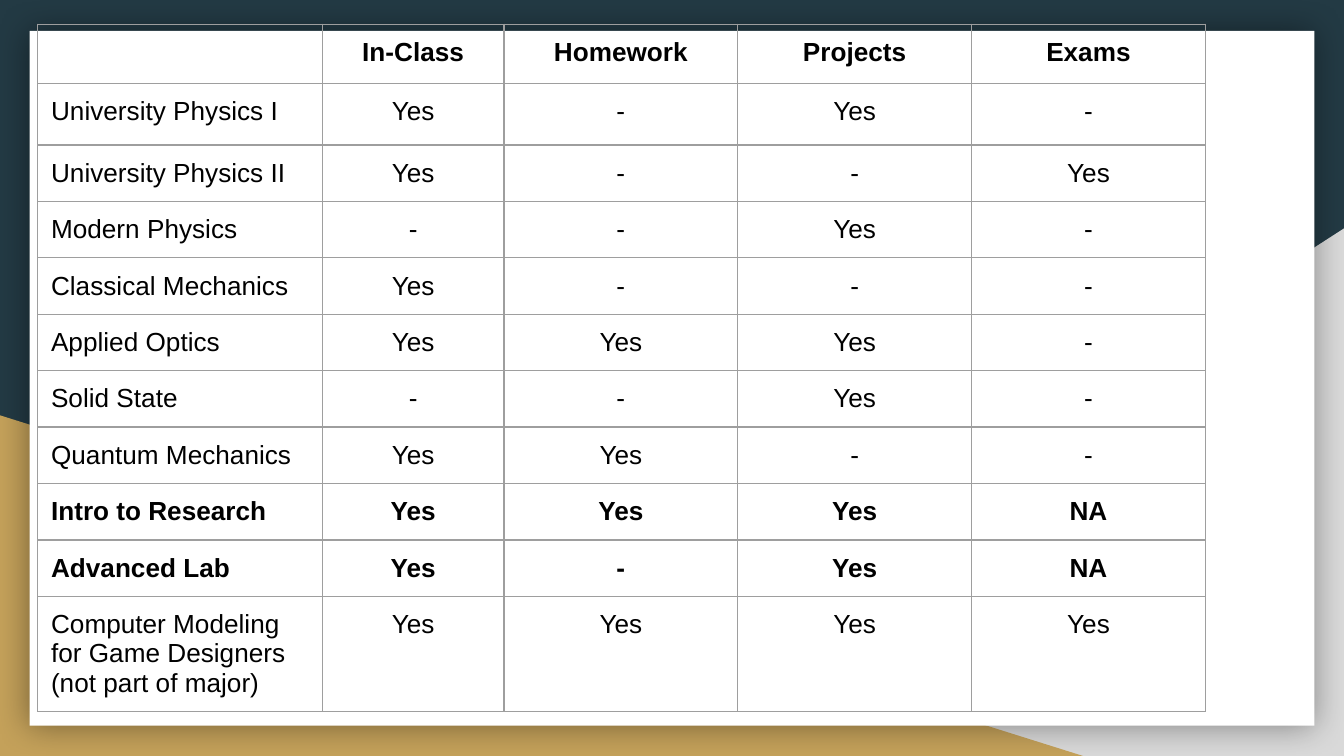
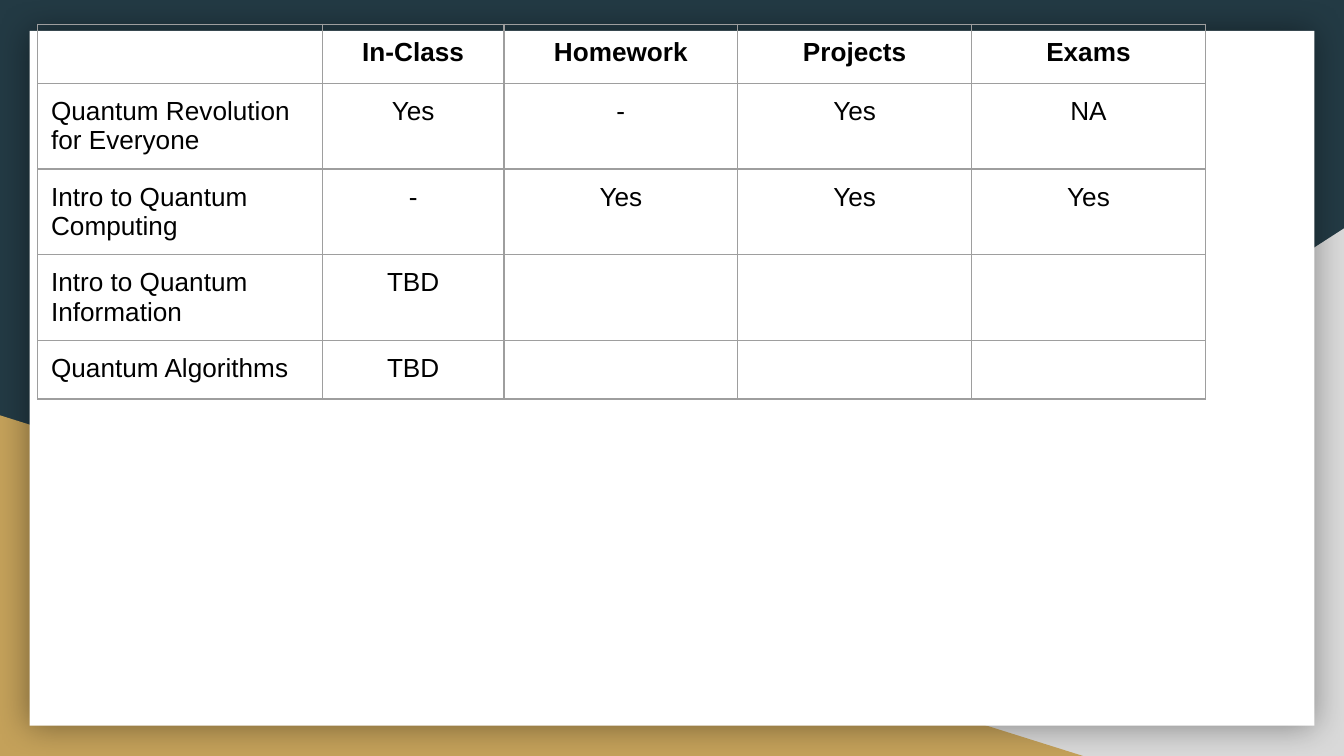
from lxml.etree import SubElement
from pptx import Presentation
from pptx.dml.color import RGBColor
from pptx.enum.shapes import MSO_SHAPE
from pptx.enum.text import PP_ALIGN
from pptx.oxml.ns import qn
from pptx.util import Inches, Pt

NAVY = RGBColor(0x23, 0x3A, 0x44)
SILVER = RGBColor(0xD9, 0xD9, 0xD9)
GOLD = RGBColor(0xC4, 0xA1, 0x5A)
WHITE = RGBColor(0xFF, 0xFF, 0xFF)
BLACK = RGBColor(0x00, 0x00, 0x00)
GRID_GREY = RGBColor(0x9E, 0x9E, 0x9E)

FONT = "Arial"
TEXT_SIZE = Pt(14)
CELL_INSET = Inches(0.1)
SLIDE_WIDTH, SLIDE_HEIGHT = 10, 5.625
TABLE_LEFT, TABLE_TOP = 0.28, 0.18
COLUMN_WIDTHS = [2.12, 1.35, 1.74, 1.74, 1.74]
HEADER_HEIGHT, FIRST_COURSE_HEIGHT, COURSE_HEIGHT = 0.44, 0.46, 0.42

HEADINGS = ["", "In-Class", "Homework", "Projects", "Exams"]
MAJOR_COURSES = [
    ["University Physics I", "Yes", "-", "Yes", "-"],
    ["University Physics II", "Yes", "-", "-", "Yes"],
    ["Modern Physics", "-", "-", "Yes", "-"],
    ["Classical Mechanics", "Yes", "-", "-", "-"],
    ["Applied Optics", "Yes", "Yes", "Yes", "-"],
    ["Solid State", "-", "-", "Yes", "-"],
    ["Quantum Mechanics", "Yes", "Yes", "-", "-"],
    ["Intro to Research", "Yes", "Yes", "Yes", "NA"],
    ["Advanced Lab", "Yes", "-", "Yes", "NA"],
    ["Computer Modeling for Game Designers (not part of major)",
     "Yes", "Yes", "Yes", "Yes"],
]
QUANTUM_COURSES = [
    ["Quantum Revolution for Everyone", "Yes", "-", "Yes", "NA"],
    ["Intro to Quantum Computing", "-", "Yes", "Yes", "Yes"],
    ["Intro to Quantum Information", "TBD", "", "", ""],
    ["Quantum Algorithms", "TBD", "", "", ""],
]
EMPHASIZED = {"Intro to Research", "Advanced Lab"}


def add_panel(slide, layout, preset, color, left, top, width, height):
    """Add a plain filled shape and move it to the layout that slides share."""
    panel = slide.shapes.add_shape(
        preset, Inches(left), Inches(top), Inches(width), Inches(height))
    panel.shadow.inherit = False
    panel.fill.solid()
    panel.fill.fore_color.rgb = color
    panel.line.fill.background()
    layout.shapes.element.append(panel.element)
    return panel


def add_glow_shadow(panel):
    """Spread a soft shadow evenly around the panel."""
    effects = panel.element.spPr.find(qn("a:effectLst"))
    shadow = SubElement(effects, qn("a:outerShdw"), blurRad=str(Pt(18)),
                        dist="0", dir="0", algn="ctr", rotWithShape="0")
    tint = SubElement(shadow, qn("a:srgbClr"), val=str(BLACK))
    SubElement(tint, qn("a:alpha"), val="40000")


def build_backdrop(slide, layout):
    for placeholder in list(layout.placeholders):
        layout.shapes.element.remove(placeholder.element)
    background = layout.slide_master.background.fill
    background.solid()
    background.fore_color.rgb = NAVY

    right_corner = add_panel(slide, layout, MSO_SHAPE.RIGHT_TRIANGLE, SILVER,
                             3.92, 1.7, SLIDE_WIDTH - 3.92, SLIDE_HEIGHT - 1.7)
    right_corner.element.spPr.xfrm.set("flipH", "1")
    add_panel(slide, layout, MSO_SHAPE.RIGHT_TRIANGLE, GOLD,
              0, 3.09, 8.06, SLIDE_HEIGHT - 3.09)
    sheet = add_panel(slide, layout, MSO_SHAPE.RECTANGLE, WHITE,
                      0.22, 0.23, 9.56, 5.17)
    add_glow_shadow(sheet)


def add_borders(cell):
    properties = cell._tc.get_or_add_tcPr()
    for side in ("a:lnL", "a:lnR", "a:lnT", "a:lnB"):
        border = SubElement(properties, qn(side), w=str(Pt(0.75)))
        paint = SubElement(border, qn("a:solidFill"))
        SubElement(paint, qn("a:srgbClr"), val=str(GRID_GREY))


def format_cell(cell, text, bold, centered):
    add_borders(cell)
    cell.fill.background()
    cell.margin_left = cell.margin_right = CELL_INSET
    cell.margin_top = cell.margin_bottom = CELL_INSET
    cell.text_frame.text = text
    paragraph = cell.text_frame.paragraphs[0]
    paragraph.alignment = PP_ALIGN.CENTER if centered else PP_ALIGN.LEFT
    for run in paragraph.runs:
        run.font.name = FONT
        run.font.size = TEXT_SIZE
        run.font.bold = bold
        run.font.color.rgb = BLACK
    if not text:
        SubElement(paragraph._p, qn("a:endParaRPr"),
                   sz=str(int(TEXT_SIZE.pt * 100)))


def add_course_table(slide, courses):
    rows = [HEADINGS] + courses
    heights = [HEADER_HEIGHT, FIRST_COURSE_HEIGHT]
    heights += [COURSE_HEIGHT] * (len(rows) - len(heights))
    table = slide.shapes.add_table(
        len(rows), len(HEADINGS), Inches(TABLE_LEFT), Inches(TABLE_TOP),
        Inches(sum(COLUMN_WIDTHS)), Inches(sum(heights))).table
    table.first_row = table.horz_banding = False
    for column, width in zip(table.columns, COLUMN_WIDTHS):
        column.width = Inches(width)
    for row, height, entries in zip(table.rows, heights, rows):
        row.height = Inches(height)
        bold = entries is HEADINGS or entries[0] in EMPHASIZED
        for index, (cell, text) in enumerate(zip(row.cells, entries)):
            format_cell(cell, text, bold, centered=index > 0)


def main():
    deck = Presentation()
    deck.slide_width = Inches(SLIDE_WIDTH)
    deck.slide_height = Inches(SLIDE_HEIGHT)
    layout = deck.slide_layouts.get_by_name("Blank")
    major_slide = deck.slides.add_slide(layout)
    quantum_slide = deck.slides.add_slide(layout)
    build_backdrop(major_slide, layout)
    add_course_table(major_slide, MAJOR_COURSES)
    add_course_table(quantum_slide, QUANTUM_COURSES)
    deck.save("out.pptx")


if __name__ == "__main__":
    main()
